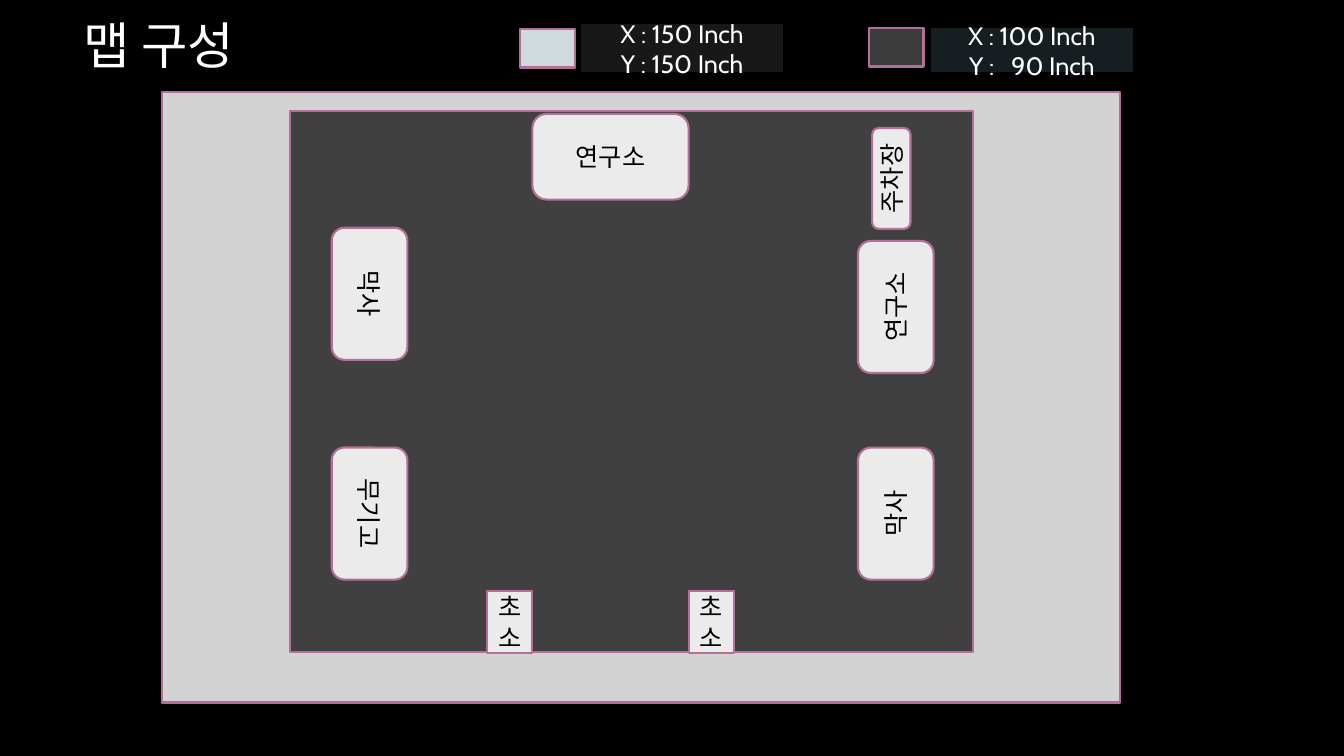
from dataclasses import dataclass

from pptx import Presentation
from pptx.dml.color import RGBColor
from pptx.enum.shapes import MSO_SHAPE as Shape
from pptx.enum.text import MSO_ANCHOR as Anchor, PP_ALIGN as Align
from pptx.shapes.autoshape import Shape as AutoShape
from pptx.slide import Slide
from pptx.text.text import _Paragraph as Paragraph
from pptx.util import Inches, Pt


@dataclass(frozen=True)
class Theme:
    font: str = "Cabin"
    title_size: int = 36
    label_size: int = 18
    line_width: float = 1.5
    black: str = "000000"
    white: str = "FFFFFF"
    outline: str = "B56F96"
    terrain: str = "D3D3D3"
    base: str = "404040"
    building: str = "EBEBEB"
    terrain_key: str = "CFDADF"
    base_key: str = "3B3B3B"
    terrain_note: str = "181818"
    base_note: str = "161E22"


THEME = Theme()


@dataclass(frozen=True)
class Area:
    left: float
    top: float
    width: float
    height: float
    fill: str
    line: str = THEME.outline


@dataclass(frozen=True)
class Building:
    label: str
    left: float
    top: float
    width: float = 1.31
    height: float = 0.75
    rotation: int = 0
    rounded: bool = True


@dataclass(frozen=True)
class Legend:
    key: Area
    note: Area
    x_size: str
    y_size: str
    y_gap: int = 0


GROUNDS = [
    Area(-0.06, -0.1, 13.4, 7.6, THEME.black, THEME.black),
    Area(1.61, 0.91, 9.5, 6.06, THEME.terrain),
    Area(2.88, 1.1, 6.77, 5.37, THEME.base),
]
WEST, EAST, SOUTH_ROW = 3.01, 8.23, 4.72
BUILDINGS = [
    Building("연구소", 5.28, 1.13, 1.55, 0.85),
    Building("막사", WEST, 2.54, rotation=90),
    Building("연구소", EAST, 2.67, rotation=270),
    Building("주차장", 8.34, 1.58, 1, 0.38, rotation=270),
    Building("막사", EAST, SOUTH_ROW, rotation=270),
    Building("무기고", WEST, SOUTH_ROW, rotation=90),
    Building("초소", 6.83, 5.86, 0.45, 0.62, rounded=False),
    Building("초소", 4.83, 5.86, 0.45, 0.62, rounded=False),
]
LEGENDS = [
    Legend(
        Area(5.16, 0.29, 0.54, 0.38, THEME.terrain_key),
        Area(5.75, 0.23, 2.03, 0.5, THEME.terrain_note, THEME.black),
        "150 Inch", "150 Inch",
    ),
    Legend(
        Area(8.62, 0.28, 0.54, 0.38, THEME.base_key),
        Area(9.22, 0.27, 2.03, 0.46, THEME.base_note, THEME.black),
        "100 Inch", "90 Inch", y_gap=8,
    ),
]


def add_text(paragraph: Paragraph, text: str, size: int, color: str, spacing: int = 0) -> None:
    run = paragraph.add_run()
    run.text = text
    formats = {"name": THEME.font, "size": Pt(size)}
    for attribute, value in formats.items():
        setattr(run.font, attribute, value)
    run.font.color.rgb = RGBColor.from_string(color)
    if spacing:
        run._r.get_or_add_rPr().set("spc", str(spacing * 100))


def draw_area(slide: Slide, area: Area, preset: Shape = Shape.RECTANGLE) -> AutoShape:
    bounds = map(Inches, (area.left, area.top, area.width, area.height))
    block = slide.shapes.add_shape(preset, *bounds)
    block.shadow.inherit = False
    block.fill.solid()
    block.fill.fore_color.rgb = RGBColor.from_string(area.fill)
    block.line.color.rgb = RGBColor.from_string(area.line)
    block.line.width = Pt(THEME.line_width)
    block.text_frame.vertical_anchor = Anchor.MIDDLE
    block.text_frame.paragraphs[0].alignment = Align.CENTER
    return block


def draw_building(slide: Slide, building: Building) -> None:
    footprint = Area(building.left, building.top, building.width, building.height, THEME.building)
    block = draw_area(slide, footprint, Shape.ROUNDED_RECTANGLE)
    block.rotation = building.rotation
    if not building.rounded:
        block.adjustments[0] = 0
    block.text_frame.word_wrap = True
    add_text(block.text_frame.paragraphs[0], building.label, THEME.label_size, THEME.black)


def draw_legend(slide: Slide, legend: Legend) -> None:
    draw_area(slide, legend.key)
    frame = draw_area(slide, legend.note).text_frame
    frame.word_wrap = True
    x_line, y_line = frame.paragraphs[0], frame.add_paragraph()
    y_line.alignment = Align.CENTER
    add_text(x_line, f"X : {legend.x_size}", THEME.label_size, THEME.white)
    if legend.y_gap:
        add_text(y_line, "Y :", THEME.label_size, THEME.white)
        add_text(y_line, " ", THEME.label_size, THEME.white, legend.y_gap)
        add_text(y_line, legend.y_size, THEME.label_size, THEME.white)
    else:
        add_text(y_line, f"Y : {legend.y_size}", THEME.label_size, THEME.white)


def draw_title(slide: Slide, title: str) -> None:
    heading = slide.shapes.add_textbox(Inches(0.73), Inches(0.09), Inches(9.4), Inches(1.44))
    heading.text_frame.word_wrap = True
    add_text(heading.text_frame.paragraphs[0], title, THEME.title_size, THEME.white)


def main() -> None:
    deck = Presentation()
    deck.slide_width, deck.slide_height = Inches(13.33), Inches(7.5)
    slide = deck.slides.add_slide(deck.slide_layouts[6])
    backdrop, *grounds = GROUNDS
    draw_area(slide, backdrop)
    draw_title(slide, "맵 구성")
    for ground in grounds:
        draw_area(slide, ground)
    for building in BUILDINGS:
        draw_building(slide, building)
    for legend in LEGENDS:
        draw_legend(slide, legend)
    deck.save("out.pptx")


if __name__ == "__main__":
    main()
